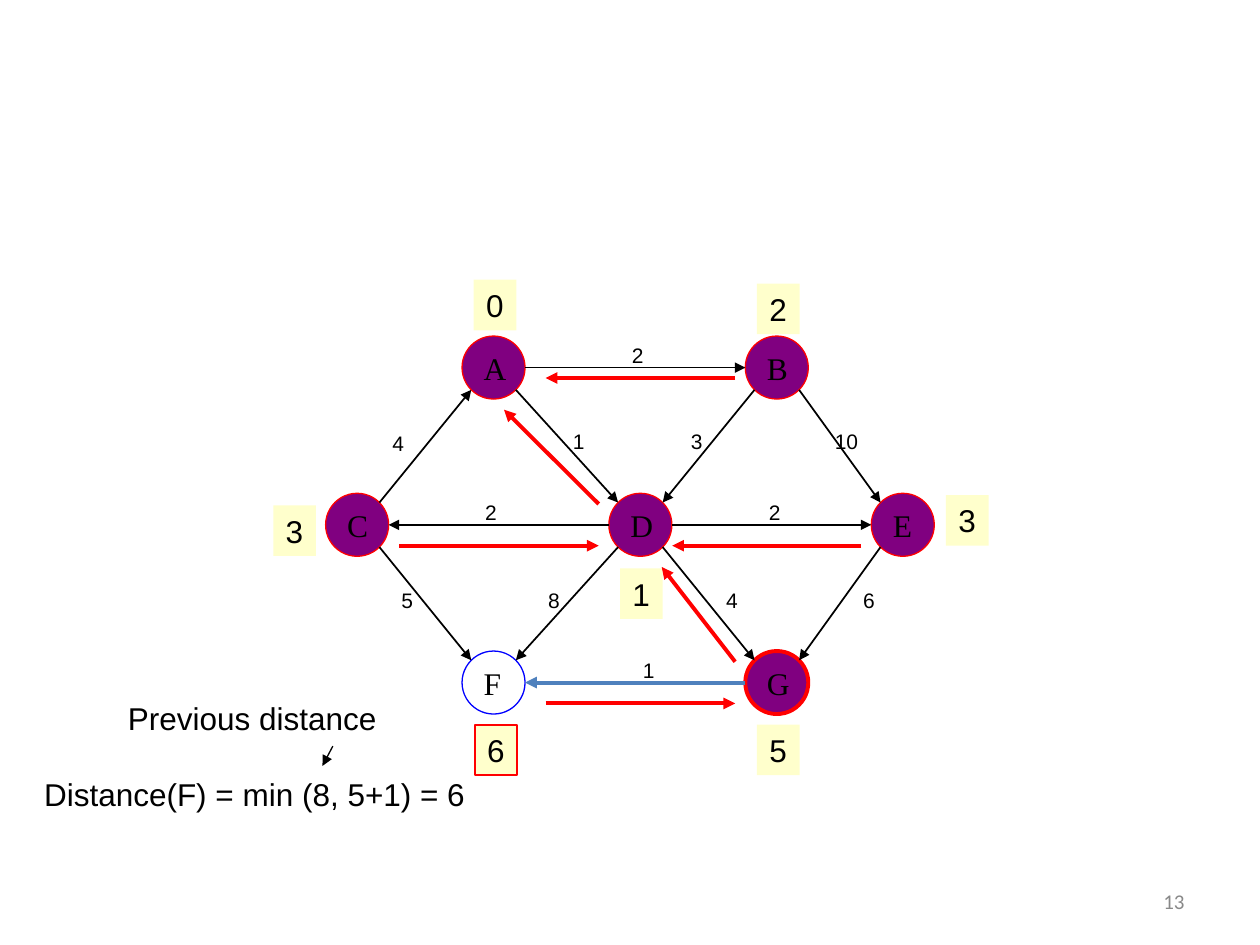
from dataclasses import dataclass
from math import sqrt
from typing import Optional

from lxml.etree import SubElement
from pptx import Presentation
from pptx.dml.color import RGBColor
from pptx.enum.shapes import MSO_CONNECTOR as Connector, MSO_SHAPE as Preset
from pptx.enum.text import MSO_ANCHOR as Anchor, MSO_AUTO_SIZE as AutoSize, PP_ALIGN as Align
from pptx.oxml.ns import qn
from pptx.util import Cm, Pt

BLACK, RED, BLUE, STEEL = "000000", "FF0000", "0000FF", "4F81BD"
PURPLE, CREAM, GREY = "800080", "FFFFCC", "898989"
DIAMETER = 1.27
CARD_SIZE = (0.86, 1.02)
TOP, MIDDLE, BOTTOM = 7.41, 10.58, 13.76  # centre lines of the graph rows


@dataclass
class Node:
    x: float
    y: float
    distance: str
    card_x: float
    card_y: float
    fill: Optional[str] = PURPLE
    outline: str = RED
    outline_width: float = 0.75
    card_outline: Optional[str] = None


@dataclass
class Edge:
    start: str
    end: str
    weight: str
    weight_x: float
    weight_y: float
    color: str = BLACK
    width: float = 1


@dataclass
class Arrow:
    x1: float
    y1: float
    x2: float
    y2: float
    color: str = RED
    width: float = 2.25


NODES = {
    "A": Node(9.95, TOP, "0", 9.98, 6.15),
    "B": Node(15.66, TOP, "2", 15.69, 6.23),
    "C": Node(7.2, MIDDLE, "3", 5.94, 10.7),
    "D": Node(12.91, MIDDLE, "1", 12.93, 11.97),
    "E": Node(18.2, MIDDLE, "3", 19.5, 10.49),
    "F": Node(9.95, BOTTOM, "6", 10, 15.12, None, BLUE, card_outline=RED),
    "G": Node(15.66, BOTTOM, "5", 15.69, 15.12, outline_width=2.25),
}

EDGES = [
    Edge("A", "B", "2", 12.87, 7.16),
    Edge("C", "A", "4", 8.04, 8.93),
    Edge("A", "D", "1", 11.68, 8.89),
    Edge("B", "D", "3", 14.06, 8.89),
    Edge("B", "E", "10", 17.09, 8.89),
    Edge("D", "C", "2", 9.91, 10.33),
    Edge("D", "E", "2", 15.63, 10.33),
    Edge("C", "F", "5", 8.22, 12.09),
    Edge("D", "F", "8", 11.18, 12.09),
    Edge("D", "G", "4", 14.77, 12.09),
    Edge("E", "G", "6", 17.53, 12.09),
    Edge("G", "F", "1", 13.09, 13.51, STEEL, 2.25),
]

BACK_POINTERS = [
    Arrow(12.07, 10.16, 10.16, 8.26),
    Arrow(14.82, 7.62, 11, 7.62),
    Arrow(17.36, 11, 13.55, 11),
    Arrow(14.82, 13.34, 13.34, 11.43),
    Arrow(11, 14.18, 14.82, 14.18),
    Arrow(8.05, 11, 12.07, 11),
]


def rgb(color: str) -> RGBColor:
    return RGBColor.from_string(color)


def write(shape, text: str, size: float, font: str = "Arial", color: str = BLACK,
          anchor=Anchor.TOP, align=Align.LEFT, wrap: bool = False, grow: bool = True) -> None:
    frame = shape.text_frame
    frame.word_wrap = wrap
    frame.auto_size = AutoSize.SHAPE_TO_FIT_TEXT if grow else AutoSize.NONE
    frame.vertical_anchor = anchor
    paragraph = frame.paragraphs[0]
    paragraph.alignment = align
    run = paragraph.add_run()
    run.text = text
    run.font.size = Pt(size)
    run.font.name = font
    run.font.color.rgb = rgb(color)


def draw_text(slide, left: float, top: float, width: float, height: float,
              text: str, size: float, **style) -> None:
    box = slide.shapes.add_textbox(Cm(left), Cm(top), Cm(width), Cm(height))
    write(box, text, size, **style)


def draw_shape(slide, preset, x: float, y: float, width: float, height: float,
               fill: Optional[str], outline: Optional[str], outline_width: float):
    """Draw a preset shape centred on x, y."""
    shape = slide.shapes.add_shape(
        preset, Cm(x - width / 2), Cm(y - height / 2), Cm(width), Cm(height))
    shape.shadow.inherit = False
    if fill:
        shape.fill.solid()
        shape.fill.fore_color.rgb = rgb(fill)
    else:
        shape.fill.background()
    if outline:
        shape.line.color.rgb = rgb(outline)
        shape.line.width = Pt(outline_width)
    else:
        shape.line.fill.background()
    return shape


def draw_arrow(slide, arrow: Arrow) -> None:
    line = slide.shapes.add_connector(
        Connector.STRAIGHT, Cm(arrow.x1), Cm(arrow.y1), Cm(arrow.x2), Cm(arrow.y2))
    line.line.color.rgb = rgb(arrow.color)
    line.line.width = Pt(arrow.width)
    SubElement(line.line._get_or_add_ln(), qn("a:tailEnd"), type="triangle")
    SubElement(line._element.spPr, qn("a:effectLst"))


def draw_edge(slide, edge: Edge) -> None:
    """Run level edges between circle sides, and slanted ones between 45° points."""
    start, end = NODES[edge.start], NODES[edge.end]
    radius = DIAMETER / 2
    level = start.y == end.y
    dx = radius if level else radius / sqrt(2)
    dy = 0 if level else dx
    if end.x < start.x:
        dx = -dx
    if end.y < start.y:
        dy = -dy
    draw_arrow(slide, Arrow(start.x + dx, start.y + dy, end.x - dx, end.y - dy,
                            edge.color, edge.width))


def draw_weight(slide, edge: Edge) -> None:
    # Side insets plus enough room for each digit to stay on one line
    width, height = 0.5 + 0.26 * len(edge.weight), 0.76
    draw_text(slide, edge.weight_x - width / 2, edge.weight_y - height / 2,
              width, height, edge.weight, 12, anchor=Anchor.MIDDLE)


def draw_node(slide, name: str, node: Node) -> None:
    circle = draw_shape(slide, Preset.OVAL, node.x, node.y, DIAMETER, DIAMETER,
                        node.fill, node.outline, node.outline_width)
    write(circle, name, 18, "Times New Roman", anchor=Anchor.MIDDLE, grow=False)


def draw_distance(slide, node: Node) -> None:
    card = draw_shape(slide, Preset.RECTANGLE, node.card_x, node.card_y, *CARD_SIZE,
                      CREAM, node.card_outline, 1.25)
    write(card, node.distance, 18)


def main() -> None:
    deck = Presentation()
    deck.slide_width, deck.slide_height = Cm(25.4), Cm(19.05)
    slide = deck.slides.add_slide(deck.slide_layouts[6])

    # Graph: nodes, edges, weights and current distances
    for name, node in NODES.items():
        draw_node(slide, name, node)
    for edge in EDGES:
        draw_edge(slide, edge)
    for edge in EDGES:
        draw_weight(slide, edge)
    for node in NODES.values():
        draw_distance(slide, node)
    for pointer in BACK_POINTERS:
        draw_arrow(slide, pointer)

    # Distance update for node F
    draw_text(slide, 0.64, 15.5, 9.96, 1.02, "Distance(F) = min (8, 5+1) = 6", 18, wrap=True)
    draw_text(slide, 2.33, 13.97, 5.72, 1.02, "Previous distance", 18, wrap=True)
    draw_arrow(slide, Arrow(6.71, 15.04, 6.5, 15.44, BLACK, 0.75))

    # Page number
    draw_text(slide, 18.2, 17.65, 5.93, 1.02, "13", 12, font="Calibri", color=GREY,
              anchor=Anchor.MIDDLE, align=Align.RIGHT, wrap=True, grow=False)

    deck.save("out.pptx")


if __name__ == "__main__":
    main()
